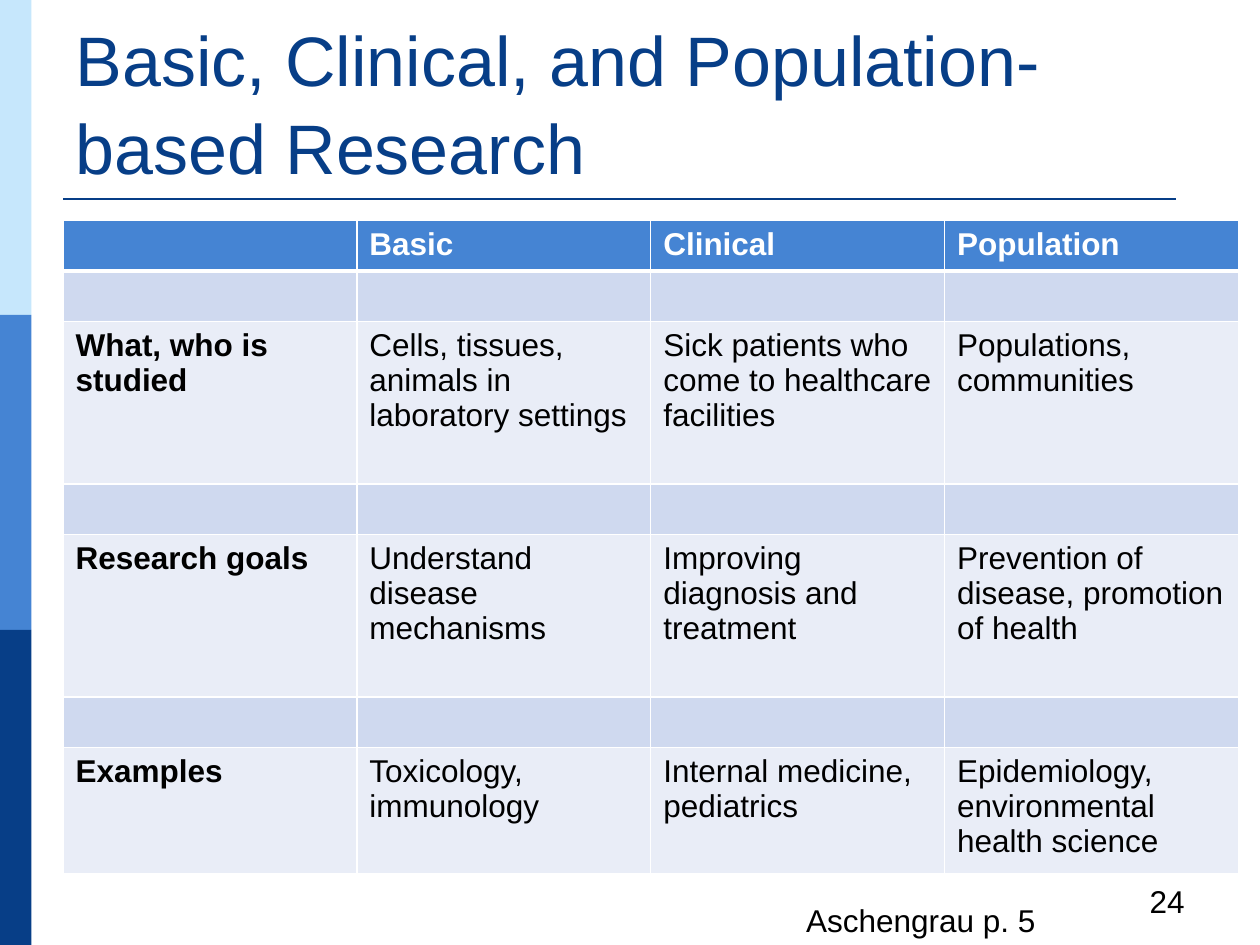
from lxml import etree
from pptx import Presentation
from pptx.dml.color import RGBColor
from pptx.enum.shapes import MSO_CONNECTOR, MSO_SHAPE
from pptx.enum.text import MSO_ANCHOR, MSO_AUTO_SIZE, PP_ALIGN
from pptx.oxml.ns import qn
from pptx.util import Inches, Pt

RECTANGLE = MSO_SHAPE.RECTANGLE
STRAIGHT = MSO_CONNECTOR.STRAIGHT
LEFT, RIGHT = PP_ALIGN.LEFT, PP_ALIGN.RIGHT
BOTTOM = MSO_ANCHOR.BOTTOM
NO_AUTOFIT = MSO_AUTO_SIZE.NONE

NAVY, BLUE, PALE_BLUE = "073E87", "4584D3", "C6E7FC"
BLACK, WHITE = "000000", "FFFFFF"
BAND_DARK, BAND_LIGHT = "CFD9EF", "E9EDF7"

SPACER = ("", "", "", "")
ROWS = [
    (0.4, ("", "Basic", "Clinical", "Population")),
    (0.4, SPACER),
    (1.29, ("What, who is studied",
            "Cells, tissues, animals in laboratory settings",
            "Sick patients who come to healthcare facilities",
            "Populations, communities")),
    (0.4, SPACER),
    (1.29, ("Research goals",
            "Understand disease mechanisms",
            "Improving diagnosis and treatment",
            "Prevention of disease, promotion of health")),
    (0.4, SPACER),
    (1.0, ("Examples",
           "Toxicology, immunology",
           "Internal medicine, pediatrics",
           "Epidemiology, environmental health science")),
]


def color(hex_value):
    return RGBColor.from_string(hex_value)


def write_text(text_frame, text, text_color=BLACK, **formats):
    paragraph = text_frame.paragraphs[0]
    run = paragraph.add_run()
    run.text = text
    for name, value in {"name": "Arial", "size": Pt(18), **formats}.items():
        setattr(run.font, name, value)
    run.font.color.rgb = color(text_color)
    return paragraph


def add_side_bars(slide):
    for index, fill in enumerate((PALE_BLUE, BLUE, NAVY)):
        bar = slide.shapes.add_shape(
            RECTANGLE, 0, Inches(2.5 * index), Inches(0.25), Inches(2.5))
        bar.shadow.inherit = False
        bar.fill.solid()
        bar.fill.fore_color.rgb = color(fill)
        bar.line.fill.background()


def add_title_rule(slide):
    rule = slide.shapes.add_connector(
        STRAIGHT, Inches(0.5), Inches(1.58), Inches(9.33), Inches(1.58))
    rule.line.color.rgb = color(NAVY)
    rule.line.width = Pt(1.5)
    etree.SubElement(rule._element.spPr, qn("a:effectLst"))


def fill_title(slide, text):
    title = slide.shapes.title
    place = {"left": 0.5, "top": 0.3, "width": 9, "height": 1.25}
    for name, value in place.items():
        setattr(title, name, Inches(value))
    title.text_frame.auto_size = NO_AUTOFIT
    title.text_frame.vertical_anchor = BOTTOM
    paragraph = write_text(title.text_frame, text, NAVY, size=Pt(40))
    paragraph.alignment = LEFT
    paragraph.line_spacing = 1.05


def add_label(slide, text, left, top, width, alignment=LEFT, wrap=True):
    box = slide.shapes.add_textbox(
        Inches(left), Inches(top), Inches(width), Inches(0.4))
    box.text_frame.word_wrap = wrap
    write_text(box.text_frame, text).alignment = alignment


def set_borders(cell, top=1, bottom=1):
    """Draw white borders, with widths in points; call before filling."""
    properties = cell._tc.get_or_add_tcPr()
    widths = {"a:lnL": 1, "a:lnR": 1, "a:lnT": top, "a:lnB": bottom}
    for tag, width in widths.items():
        line = etree.SubElement(properties, qn(tag), w=str(Pt(width)))
        fill = etree.SubElement(line, qn("a:solidFill"))
        etree.SubElement(fill, qn("a:srgbClr"), val=WHITE)


def add_research_table(slide):
    column_count = len(SPACER)
    table = slide.shapes.add_table(
        len(ROWS), column_count, Inches(0.5), Inches(1.75),
        Inches(9.33), Inches(sum(height for height, _ in ROWS))).table
    for column in table.columns:
        column.width = Inches(9.33 / column_count)
    for row_index, (height, texts) in enumerate(ROWS):
        table.rows[row_index].height = Inches(height)
        is_header = row_index == 0
        band = BAND_DARK if row_index % 2 else BAND_LIGHT
        for column_index, text in enumerate(texts):
            cell = table.cell(row_index, column_index)
            set_borders(cell, top=3 if row_index == 1 else 1,
                        bottom=3 if is_header else 1)
            cell.fill.solid()
            cell.fill.fore_color.rgb = color(BLUE if is_header else band)
            if text:
                write_text(cell.text_frame, text,
                           WHITE if is_header else BLACK,
                           bold=is_header or column_index == 0)


def main():
    presentation = Presentation()
    presentation.slide_width = Inches(10)
    presentation.slide_height = Inches(7.5)
    slide = presentation.slides.add_slide(presentation.slide_layouts[5])
    add_side_bars(slide)
    add_title_rule(slide)
    fill_title(slide, "Basic, Clinical, and Population-based Research")
    add_label(slide, "24", 7.17, 6.95, 2.33, RIGHT)
    add_research_table(slide)
    add_label(slide, "Aschengrau p. 5", 6.3, 7.1, 2.04, wrap=False)
    presentation.save("out.pptx")


if __name__ == "__main__":
    main()
